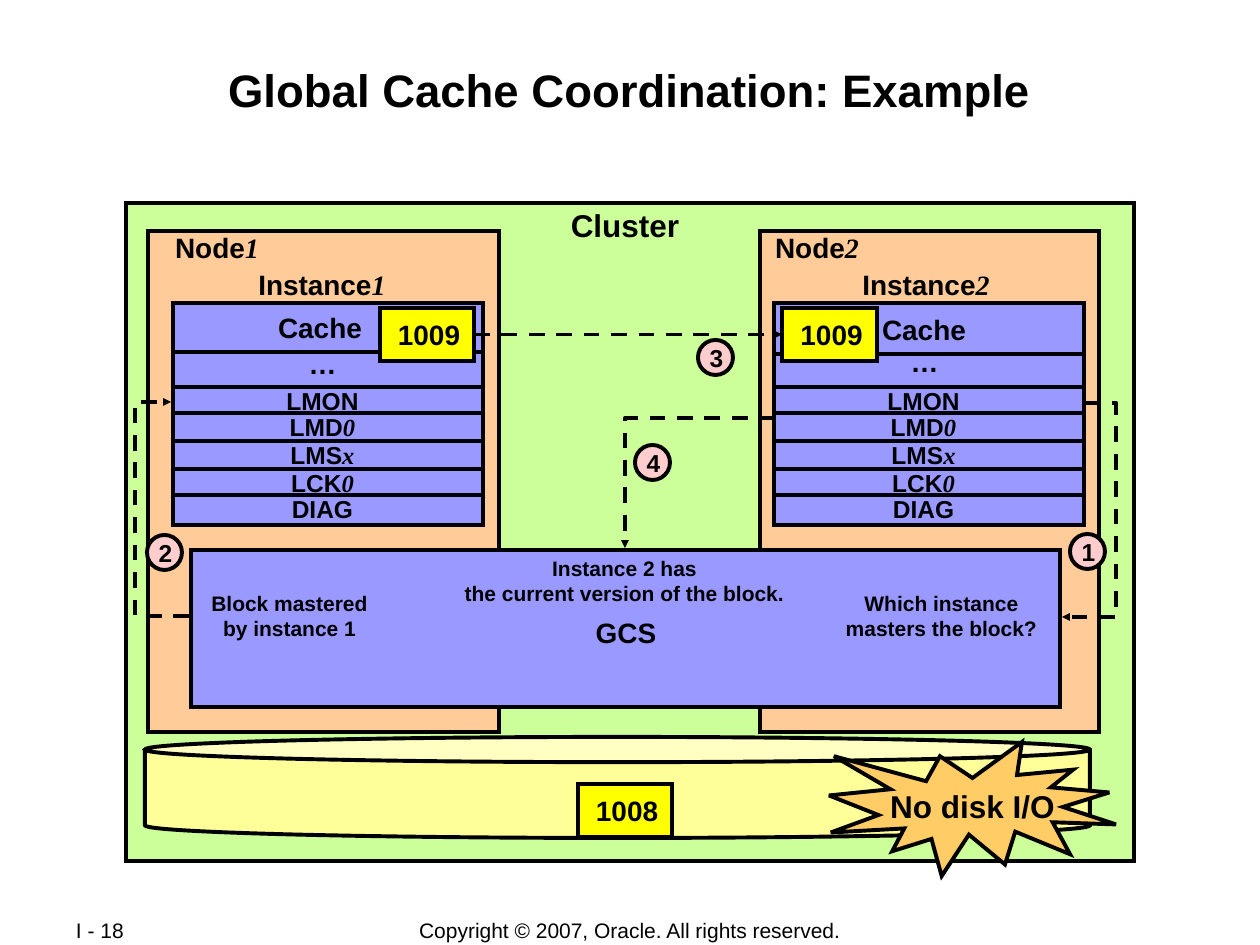
"""Build the slide on global cache coordination between two nodes."""
import copy
import dataclasses

import pptx
import pptx.dml.color
import pptx.enum.dml
import pptx.enum.shapes
import pptx.enum.text
import pptx.oxml
import pptx.oxml.ns
import pptx.util

RGB = pptx.dml.color.RGBColor
KIND = pptx.enum.shapes.MSO_SHAPE
LINK = pptx.enum.shapes.MSO_CONNECTOR
ALIGN = pptx.enum.text.PP_ALIGN
MID = pptx.enum.text.MSO_ANCHOR.MIDDLE
qn = pptx.oxml.ns.qn

BLACK = RGB(0x00, 0x00, 0x00)
GREEN = RGB(0xCC, 0xFF, 0x99)
PEACH = RGB(0xFF, 0xCC, 0x99)
BLUE = RGB(0x99, 0x99, 0xFF)
YELLOW = RGB(0xFF, 0xFF, 0x00)
CREAM = RGB(0xFF, 0xFF, 0x99)
PINK = RGB(0xFF, 0xCD, 0xCD)
AMBER = RGB(0xFF, 0xCC, 0x66)
SCALE = 914400 / 126


@dataclasses.dataclass
class Box:
    left: int
    top: int
    width: int
    height: int

    def emu(self) -> list[int]:
        return [px(n) for n in dataclasses.astuple(self)]


@dataclasses.dataclass
class Node:
    num: str
    frame: Box
    name: Box
    title: Box
    stack: Box
    split: int
    cache: Box
    dots: Box
    block: Box


@dataclasses.dataclass
class Row:
    text: str
    tail: str
    line: int


@dataclasses.dataclass
class Step:
    num: str
    left: int
    top: int


@dataclasses.dataclass
class Elbow:
    start: tuple[int, int]
    end: tuple[int, int]
    bend: int
    turn: int = 0


@dataclasses.dataclass
class Note:
    text: str
    box: Box
    size: int


NODES = [
    Node("1", Box(148, 231, 351, 501), Box(163, 224, 108, 47), Box(246, 261, 152, 47),
         Box(173, 303, 310, 222), 352, Box(266, 304, 108, 47), Box(296, 340, 53, 47),
         Box(380, 308, 94, 53)),
    Node("2", Box(760, 231, 339, 501), Box(763, 224, 108, 47), Box(846, 261, 160, 47),
         Box(774, 303, 310, 222), 354, Box(870, 306, 108, 47), Box(898, 338, 53, 47),
         Box(782, 308, 95, 53)),
]
ROWS = [Row("LMON", "", 387), Row("LMD", "0", 413), Row("LMS", "x", 441),
        Row("LCK", "0", 469), Row("DIAG", "", 495)]
STEPS = [Step("1", 1070, 534), Step("2", 147, 535), Step("3", 698, 340), Step("4", 635, 445)]
ELBOWS = [Elbow((1085, 403), (1062, 617), -136500),
          Elbow((189, 616), (171, 402), 301100),
          Elbow((635, 408), (765, 558), 0, 5400000)]
NOTES = [
    Note("Cluster", Box(558, 200, 134, 50), 18),
    Note("GCS", Box(583, 609, 86, 47), 16),
    Note("Block mastered\nby instance 1", Box(199, 584, 181, 63), 12),
    Note("Which instance\nmasters the block?", Box(833, 584, 217, 63), 12),
    Note("Instance 2 has\nthe current version of the block.", Box(452, 549, 345, 63), 12),
    Note("No disk I/O", Box(878, 781, 189, 50), 18),
]


def px(n: float) -> int:
    return round(n * SCALE)


def write(shape, text: str, size: int = 16, tail: str = "", bold: bool = True,
          align=ALIGN.CENTER, anchor=MID, pad: int = 0) -> None:
    frame = shape.text_frame
    frame.word_wrap = False
    frame.vertical_anchor = anchor
    frame.margin_left, frame.margin_right = px(pad), 0
    para = frame.paragraphs[0]
    para.text = text
    para.alignment = align
    if tail:
        para.add_run().text = tail
    for run in para.runs:
        run.font.name = "Arial"
        run.font.size = pptx.util.Pt(size)
        run.font.bold = bold
        run.font.color.rgb = BLACK
    for stop in para._p.findall(qn("a:br")):
        stop.append(copy.deepcopy(para.runs[0]._r.rPr))
    if tail:
        para.runs[-1].font.name = "Times New Roman"
        para.runs[-1].font.italic = True


def label(slide, box: Box, text: str, **form) -> None:
    write(slide.shapes.add_textbox(*box.emu()), text, **form)


def node_xml(tag: str, attrs: str = ""):
    return pptx.oxml.parse_xml(f'<a:{tag} {pptx.oxml.ns.nsdecls("a")} {attrs}/>')


def draw(slide, kind, box: Box, fill: RGB):
    shape = slide.shapes.add_shape(kind, *box.emu())
    shape.shadow.inherit = False
    shape.fill.solid()
    shape.fill.fore_color.rgb = fill
    shape.line.color.rgb = BLACK
    shape.line.width = pptx.util.Pt(2.25)
    shape.line._get_or_add_ln().append(node_xml("miter", 'lim="800000"'))
    return shape


def link(slide, kind, start: tuple[int, int], end: tuple[int, int], arrow: bool = False):
    line = slide.shapes.add_connector(kind, *map(px, start + end))
    line.line.color.rgb = BLACK
    line.line.width = pptx.util.Pt(2.25)
    if arrow:
        line.line.dash_style = pptx.enum.dml.MSO_LINE.DASH
        head = node_xml("tailEnd", 'type="triangle" w="sm" len="sm"')
        line.line._get_or_add_ln().append(head)
    line._element.spPr.append(node_xml("effectLst"))
    return line


def bend(slide, elbow: Elbow) -> None:
    line = link(slide, LINK.ELBOW, elbow.start, elbow.end, arrow=True)
    props = line._element.spPr
    if elbow.turn:
        props.find(qn("a:xfrm")).set("rot", str(elbow.turn))
    guide = node_xml("gd", f'name="adj1" fmla="val {elbow.bend}"')
    props.find(qn("a:prstGeom")).get_or_add_avLst().append(guide)


def block(slide, box: Box, text: str):
    shape = draw(slide, KIND.RECTANGLE, box, YELLOW)
    write(shape, text, pad=4)
    return shape


def build(slide, node: Node):
    draw(slide, KIND.RECTANGLE, node.frame, PEACH)
    draw(slide, KIND.RECTANGLE, node.stack, BLUE)
    label(slide, node.name, "Node", tail=node.num)
    label(slide, node.title, "Instance", tail=node.num)
    left, right = node.stack.left, node.stack.left + node.stack.width
    for top in [node.split] + [row.line for row in ROWS]:
        link(slide, LINK.STRAIGHT, (left, top), (right, top))
    label(slide, node.cache, "Cache")
    label(slide, node.dots, "…")
    for row in ROWS:
        box = Box(left + 101, row.line - 8, 97, 43)
        label(slide, box, row.text, size=14, tail=row.tail)
    return block(slide, node.block, "1009")


def main() -> None:
    deck = pptx.Presentation()
    deck.slide_width, deck.slide_height = px(1260), px(945)
    slide = deck.slides.add_slide(deck.slide_layouts[6])
    label(slide, Box(347, 917, 566, 27), "Copyright © 2007, Oracle. All rights reserved.",
          size=12, bold=False)
    label(slide, Box(76, 917, 121, 27), "I - 18", size=12, bold=False, align=ALIGN.LEFT)
    label(slide, Box(84, 56, 1091, 121), "Global Cache Coordination: Example",
          size=26, anchor=pptx.enum.text.MSO_ANCHOR.TOP)
    draw(slide, KIND.RECTANGLE, Box(126, 203, 1008, 658), GREEN)
    first, last = [build(slide, node) for node in NODES]
    send = link(slide, LINK.STRAIGHT, (474, 334), (782, 334), arrow=True)
    send.begin_connect(first, 3)
    send.end_connect(last, 1)
    draw(slide, KIND.CAN, Box(145, 737, 945, 101), CREAM)
    block(slide, Box(578, 784, 94, 53), "1008")
    draw(slide, KIND.RECTANGLE, Box(191, 550, 869, 157), BLUE)
    for elbow in ELBOWS:
        bend(slide, elbow)
    for step in STEPS:
        ring = draw(slide, KIND.OVAL, Box(step.left, step.top, 35, 35), PINK)
        write(ring, step.num, size=14, pad=2)
    draw(slide, KIND.EXPLOSION1, Box(829, 742, 287, 134), AMBER)
    for note in NOTES:
        label(slide, note.box, note.text, size=note.size)
    deck.save("out.pptx")


if __name__ == "__main__":
    main()
